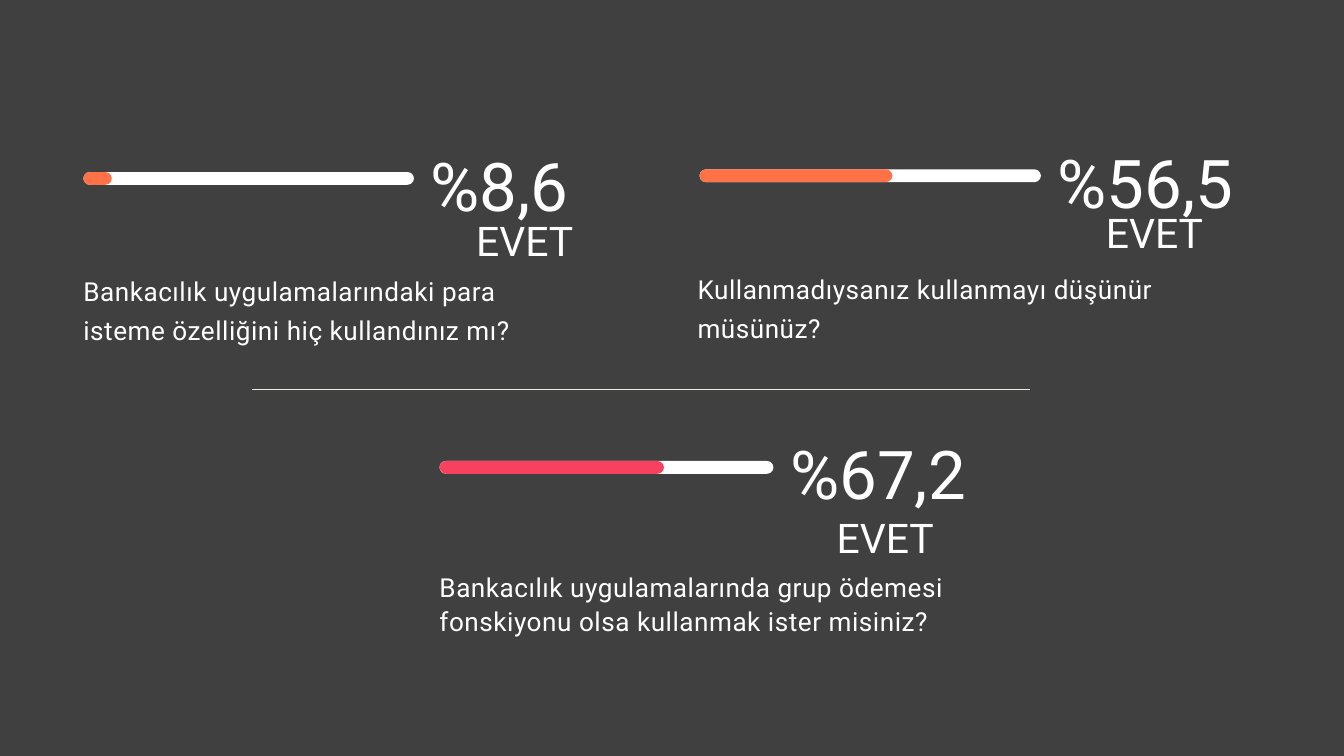
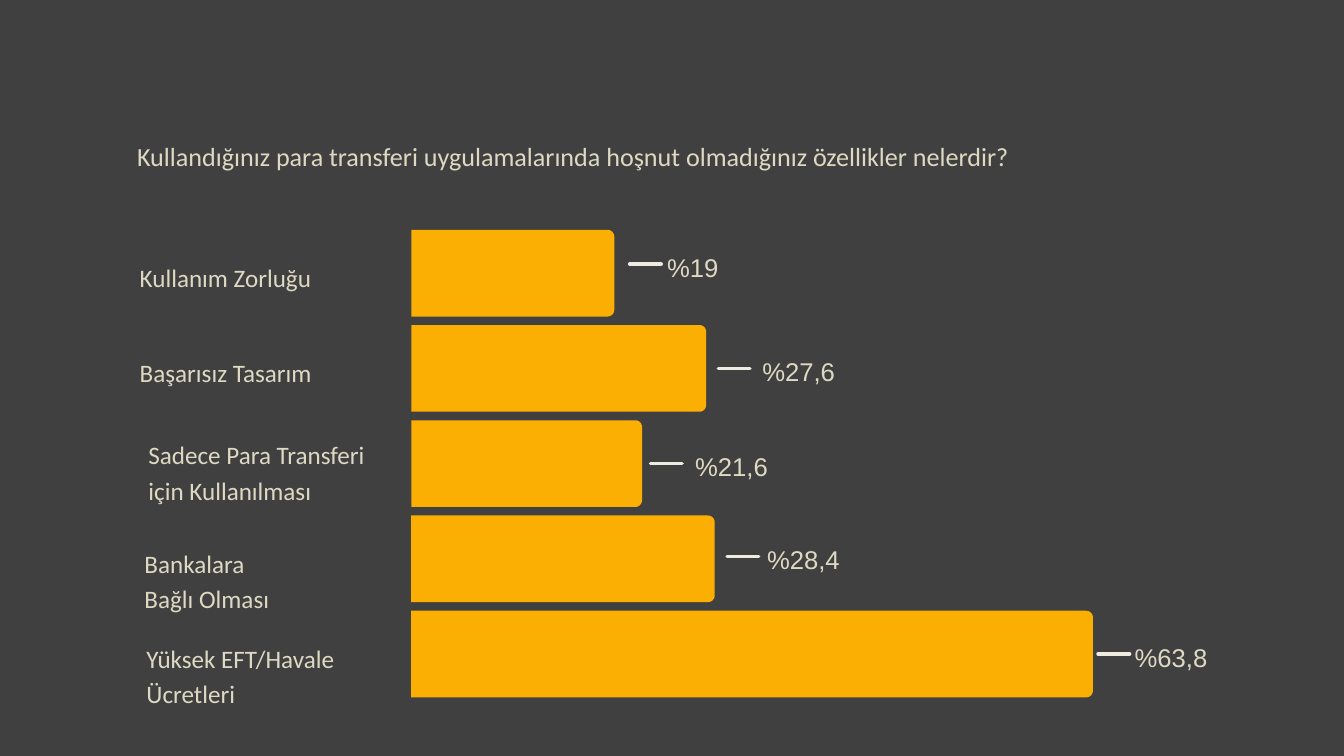
import math
from dataclasses import dataclass

from lxml import etree
from pptx import Presentation
from pptx.dml.color import RGBColor
from pptx.enum import shapes, text
from pptx.oxml import ns
from pptx.util import Inches, Pt


@dataclass(frozen=True)
class Theme:
    back: str = "404040"
    white: str = "FFFFFF"
    sand: str = "DDD9C3"
    rule: str = "EEECE1"
    coral: str = "FF7248"
    red: str = "F7415F"
    gold: str = "FCAF03"
    head: str = "Roboto"
    body: str = "Calibri"
    digit: str = "Arial"
    huge: float = 72
    big: float = 43.8
    ask: float = 28
    label: float = 26.9
    value: float = 27.5


T = Theme()


def paint(fill, color):
    fill.solid()
    fill.fore_color.rgb = RGBColor.from_string(color)


def write(frame, words, size, font, color, lead, center=False, indent=0, track=0):
    """Fill a text frame, one paragraph to each line of words."""
    frame.word_wrap = True
    frame.auto_size = text.MSO_AUTO_SIZE.SHAPE_TO_FIT_TEXT
    frame.margin_left = frame.margin_right = 0
    frame.margin_top = frame.margin_bottom = 0
    for i, line in enumerate(words.split("\n")):
        para = frame.paragraphs[0] if i == 0 else frame.add_paragraph()
        para.alignment = text.PP_ALIGN.CENTER if center else text.PP_ALIGN.LEFT
        para.line_spacing = Pt(lead)
        if indent:
            para._p.get_or_add_pPr().set("marL", str(Inches(indent)))
        run = para.add_run()
        run.text = line
        run.font.size = Pt(size)
        run.font.name = font
        run.font.color.rgb = RGBColor.from_string(color)
        if track:
            run._r.get_or_add_rPr().set("spc", str(round(track * 100)))


class Deck:
    def __init__(self):
        self.show = Presentation()
        self.show.slide_width = Inches(20)
        self.show.slide_height = Inches(11.25)
        self.slide = None

    def page(self):
        self.slide = self.show.slides.add_slide(self.show.slide_layouts[6])
        paint(self.slide.background.fill, T.back)

    def text(self, x, y, w, h, words, fill=None, **style):
        box = self.slide.shapes.add_textbox(*map(Inches, (x, y, w, h)))
        if fill:
            paint(box.fill, fill)
        write(box.text_frame, words, **style)

    def finish(self, shape, color):
        paint(shape.fill, color)
        shape.line.fill.background()
        shape.shadow.inherit = False

    def pill(self, x, y, w, h, color):
        shape = self.slide.shapes.add_shape(
            shapes.MSO_SHAPE.ROUNDED_RECTANGLE, *map(Inches, (x, y, w, h)))
        shape.adjustments[0] = 0.5
        self.finish(shape, color)

    def bar(self, x, y, w, h, color, curve=0.1):
        """Draw a bar whose two right corners are rounded."""
        points = []
        for mid, start in ((y + curve, -90), (y + h - curve, 0)):
            for step in range(0, 91, 15):
                turn = math.radians(start + step)
                points.append((x + w - curve + curve * math.cos(turn),
                               mid + curve * math.sin(turn)))
        points.append((x, y + h))
        pen = self.slide.shapes.build_freeform(Inches(x), Inches(y))
        pen.add_line_segments([(Inches(a), Inches(b)) for a, b in points])
        self.finish(pen.convert_to_shape(), color)

    def line(self, x, y, w, width, cap="flat"):
        link = self.slide.shapes.add_connector(
            shapes.MSO_CONNECTOR.STRAIGHT, *map(Inches, (x, y, x + w, y)))
        link.line.color.rgb = RGBColor.from_string(T.rule)
        link.line.width = Pt(width)
        link.line._get_or_add_ln().set("cap", cap)
        etree.SubElement(link._element.spPr, ns.qn("a:effectLst"))

    def meter(self, x, y, w, share, color):
        """Draw a track with its filled share and the figure beside it."""
        self.pill(x, y, w, 0.19, T.white)
        self.pill(x, y, w * share / 100, 0.19, color)
        figure = f"%{share}".replace(".", ",")
        self.text(x + w + 0.25, y - 0.62, 2.85, 1.32, figure,
                  size=T.huge, font=T.head, color=T.white, lead=100.8)


def poll(deck):
    deck.page()
    for x, y, w, share, color in (
            (1.24, 2.56, 4.92, 8.6, T.coral),
            (6.54, 6.86, 4.97, 67.2, T.red),
            (10.41, 2.52, 5.08, 56.5, T.coral)):
        deck.meter(x, y, w, share, color)
    for x, y, w, h, lead, words in (
            (1.24, 3.99, 7.15, 1.13, 41.6,
             "Bankacılık uygulamalarındaki para isteme özelliğini hiç kullandınız mı?"),
            (6.54, 8.47, 7.94, 0.98, 36.3,
             "Bankacılık uygulamalarında grup ödemesi fonskiyonu olsa "
             "kullanmak ister misiniz?"),
            (10.38, 3.96, 6.87, 1.16, 41.6,
             "Kullanmadıysanız kullanmayı düşünür müsünüz?")):
        deck.text(x, y, w, h, words, size=T.ask, font=T.head,
                  color=T.white, lead=lead, track=0.6)
    for x, y, w in ((6.97, 3.09, 1.68), (16.45, 2.97, 1.46), (12.36, 7.5, 1.63)):
        deck.text(x, y, w, 0.79, "EVET", size=T.big, font=T.head,
                  color=T.white, lead=61.3, center=True)
    deck.line(3.75, 5.79, 11.58, 0.75)


def flaws(deck):
    deck.page()
    deck.text(2.04, 2, 14.2, 0.52,
              "Kullandığınız para transferi uygulamalarında hoşnut "
              "olmadığınız özellikler nelerdir?",
              fill=T.back, size=T.ask, font=T.body, color=T.sand, lead=39.6)
    # label, its left, top and indent; share; dash left, top; value left, width
    rows = (
        ("Kullanım Zorluğu", 0.83, 3.83, 1.25, 19, 9.37, 3.93, 9.78, 1.06),
        ("Başarısız Tasarım", 0.83, 5.25, 1.25, 27.6, 10.69, 5.48, 11.21, 1.35),
        ("Sadece Para Transferi\niçin Kullanılması",
         0.83, 6.47, 1.38, 21.6, 9.68, 6.9, 10.28, 1.21),
        ("Bankalara\nBağlı Olması", 0.33, 8.08, 1.82, 28.4, 10.82, 8.28, 11.28, 1.35),
        ("Yüksek EFT/Havale\nÜcretleri",
         0.83, 9.5, 1.35, 63.8, 16.34, 9.73, 16.85, 1.15))
    for i, (name, x, y, indent, share, dash, mid, left, wide) in enumerate(rows):
        deck.text(x, y, 5.13, 0.5 + 0.53 * name.count("\n"), name, size=T.label,
                  font=T.body, color=T.sand, lead=37.7, indent=indent)
        deck.bar(6.12, 3.42 + 1.417 * i, 0.159 * share, 1.29, T.gold)
        deck.line(dash, mid, 0.47, 3.75, cap="rnd")
        deck.text(left, mid - 0.26, wide, 0.5, f"%{share}".replace(".", ","),
                  size=T.value, font=T.digit, color=T.sand, lead=38.5, center=True)


def main():
    deck = Deck()
    poll(deck)
    flaws(deck)
    deck.show.save("out.pptx")


if __name__ == "__main__":
    main()
